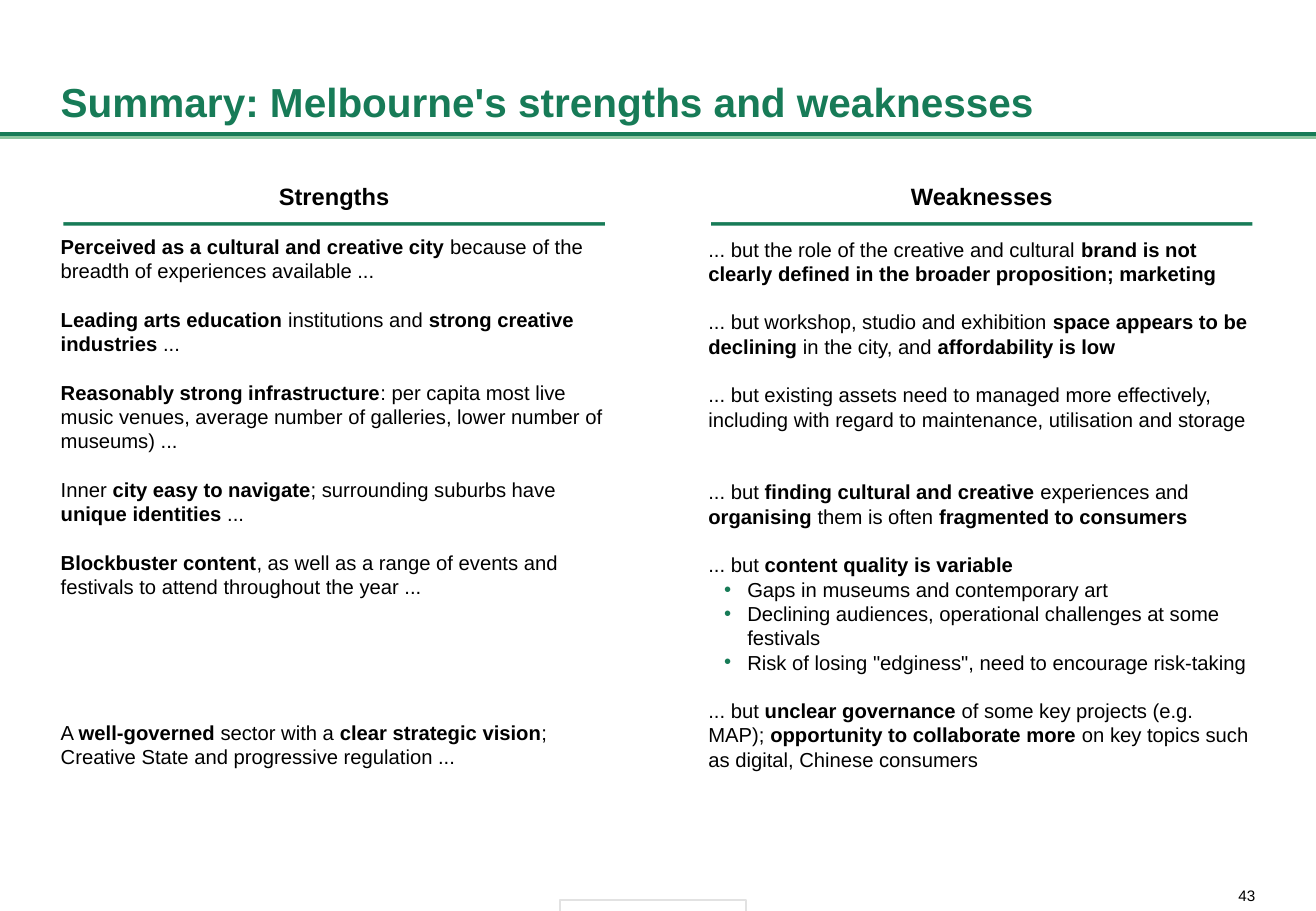
import dataclasses

import pptx
import pptx.dml.color
import pptx.enum.shapes
import pptx.enum.text
import pptx.oxml.ns
import pptx.util
from lxml import etree

Inches = pptx.util.Inches
Pt = pptx.util.Pt
Align = pptx.enum.text.PP_ALIGN
Anchor = pptx.enum.text.MSO_ANCHOR

GREEN, LIGHT_GREEN, BLACK, WHITE, GREY = "177B57", "8EC6A1", "000000", "FFFFFF", "E2E2E2"
FONT = "Arial"
LINE_HEIGHT = 14.4
COLUMN_WIDTH = 4.5


@dataclasses.dataclass
class Point:
    """Text with **bold** parts, and the number of empty lines above it."""
    text: str
    gap: int = 1
    bullet: bool = False


@dataclasses.dataclass
class Column:
    heading: str
    left: float
    body_top: float
    points: list[Point]


@dataclasses.dataclass
class Style:
    size: float
    color: str = BLACK
    bold: bool = False
    align: Align = Align.LEFT
    anchor: Anchor = Anchor.TOP
    inset_x: float = 0
    inset_y: float = 0
    wrap: bool = True


TITLE = Style(24, GREEN, bold=True, anchor=Anchor.BOTTOM, inset_y=0.05)
HEADING = Style(14, bold=True, align=Align.CENTER, anchor=Anchor.BOTTOM, inset_x=0.1, inset_y=0.1)
BODY = Style(12, inset_y=0.1)
PAGE_NUMBER = Style(9, align=Align.RIGHT, wrap=False)

COLUMNS = [
    Column("Strengths", 0.5, 1.83, [
        Point("**Perceived as a cultural and creative city **because of the breadth of "
              "experiences available ...", gap=0),
        Point("**Leading arts education **institutions and **strong creative industries **..."),
        Point("**Reasonably strong infrastructure**: per capita most live music venues, "
              "average number of galleries, lower number of museums) ..."),
        Point("Inner **city easy to navigate**; surrounding suburbs have **unique identities **..."),
        Point("**Blockbuster content**, as well as a range of events and festivals to attend "
              "throughout the year ..."),
        Point("A **well-governed **sector with a **clear strategic vision**; Creative State "
              "and progressive regulation ...", gap=5),
    ]),
    Column("Weaknesses", 5.83, 1.85, [
        Point("... but the role of the creative and cultural **brand is not clearly defined "
              "in the broader proposition; marketing", gap=0),
        Point("... but workshop, studio and exhibition **space appears to be declining **"
              "in the city, and **affordability is low"),
        Point("... but existing assets need to managed more effectively, including with "
              "regard to maintenance, utilisation and storage"),
        Point("... but **finding cultural and creative **experiences and **organising **"
              "them is often **fragmented to consumers", gap=2),
        Point("... but **content quality is variable"),
        Point("Gaps in museums and contemporary art", gap=0, bullet=True),
        Point("Declining audiences, operational challenges at some festivals", gap=0, bullet=True),
        Point('Risk of losing "edginess", need to encourage risk-taking', gap=0, bullet=True),
        Point("... but **unclear governance **of some key projects (e.g. MAP); **opportunity "
              "to collaborate more **on key topics such as digital, Chinese consumers"),
    ]),
]


def rgb(color: str) -> pptx.dml.color.RGBColor:
    return pptx.dml.color.RGBColor.from_string(color)


def add_element(parent: etree._Element, tag: str, **attributes: str) -> etree._Element:
    return etree.SubElement(parent, pptx.oxml.ns.qn(tag), **attributes)


def add_shadow(shape, color: str, scale: int) -> None:
    """Cast a sharp shadow 2 points down, its width scaled in percent."""
    effects = add_element(shape._element.spPr, "a:effectLst")
    shadow = add_element(effects, "a:outerShdw", blurRad="0", dist=str(Pt(2)), dir="5400000",
                         sx=str(scale * 1000), algn="ctr", rotWithShape="0")
    add_element(shadow, "a:srgbClr", val=color)


def add_title_rule(page) -> None:
    rule = page.shapes.add_connector(
        pptx.enum.shapes.MSO_CONNECTOR.STRAIGHT,
        Inches(10.83), Inches(1.1), Inches(0), Inches(1.1))
    rule.line.color.rgb = rgb(GREEN)
    rule.line.width = Pt(2.25)
    add_shadow(rule, LIGHT_GREEN, 100)


def add_white_rectangle(page, left: float, top: float, width: float, height: float):
    rectangle = page.shapes.add_shape(
        pptx.enum.shapes.MSO_SHAPE.RECTANGLE,
        Inches(left), Inches(top), Inches(width), Inches(height))
    rectangle.fill.solid()
    rectangle.fill.fore_color.rgb = rgb(WHITE)
    return rectangle


def add_bullet(para) -> None:
    properties = para._p.get_or_add_pPr()
    properties.set("marL", str(Inches(0.32)))
    properties.set("indent", str(Inches(-0.19)))
    add_element(add_element(properties, "a:buClr"), "a:srgbClr", val=GREEN)
    add_element(properties, "a:buFont", typeface=FONT)
    add_element(properties, "a:buChar", char="•")


def add_spans(para, text: str, style: Style) -> None:
    para.alignment = style.align
    for index, part in enumerate(text.split("**")):
        if part:
            span = para.add_run()
            span.text = part
            span.font.name = FONT
            span.font.size = Pt(style.size)
            span.font.bold = style.bold or index % 2 == 1
            span.font.color.rgb = rgb(style.color)


def style_frame(frame, style: Style) -> None:
    frame.word_wrap = style.wrap
    frame.vertical_anchor = style.anchor
    frame.margin_left = frame.margin_right = Inches(style.inset_x)
    frame.margin_top = frame.margin_bottom = Inches(style.inset_y)


def add_box(page, left: float, top: float, width: float, height: float, style: Style):
    """Add an empty text box and return its text frame."""
    box = page.shapes.add_textbox(Inches(left), Inches(top), Inches(width), Inches(height))
    style_frame(box.text_frame, style)
    return box.text_frame


def add_label(page, text: str, left: float, top: float, width: float, height: float,
              style: Style) -> None:
    frame = add_box(page, left, top, width, height, style)
    add_spans(frame.paragraphs[0], text, style)


def add_heading(page, column: Column) -> None:
    heading = add_white_rectangle(page, column.left, 1.39, COLUMN_WIDTH, 0.44)
    heading.line.fill.background()
    add_shadow(heading, GREEN, 99)
    style_frame(heading.text_frame, HEADING)
    add_spans(heading.text_frame.paragraphs[0], column.heading, HEADING)


def add_points(page, column: Column) -> None:
    frame = add_box(page, column.left, column.body_top, COLUMN_WIDTH, 3.94, BODY)
    for index, point in enumerate(column.points):
        para = frame.add_paragraph() if index else frame.paragraphs[0]
        para.line_spacing = Pt(LINE_HEIGHT)
        if point.gap:
            para.space_before = Pt(point.gap * LINE_HEIGHT)
        if point.bullet:
            add_bullet(para)
        add_spans(para, point.text, BODY)


def add_footer_tab(page) -> None:
    tab = add_white_rectangle(page, 4.61, 7.41, 1.53, 0.1)
    tab.shadow.inherit = False
    tab.line.color.rgb = rgb(GREY)
    tab.line.width = Pt(0.75)


def main() -> None:
    deck = pptx.Presentation()
    deck.slide_width = Inches(10.83)
    deck.slide_height = Inches(7.5)
    page = deck.slides.add_slide(deck.slide_layouts[6])

    add_title_rule(page)
    add_label(page, "43", 10.12, 7.3, 0.21, 0.14, PAGE_NUMBER)
    add_label(page, "Summary: Melbourne's strengths and weaknesses", 0.5, 0.17, 9.83, 0.91, TITLE)
    for column in COLUMNS:
        add_heading(page, column)
        add_points(page, column)
    add_footer_tab(page)
    deck.save("out.pptx")


if __name__ == "__main__":
    main()
